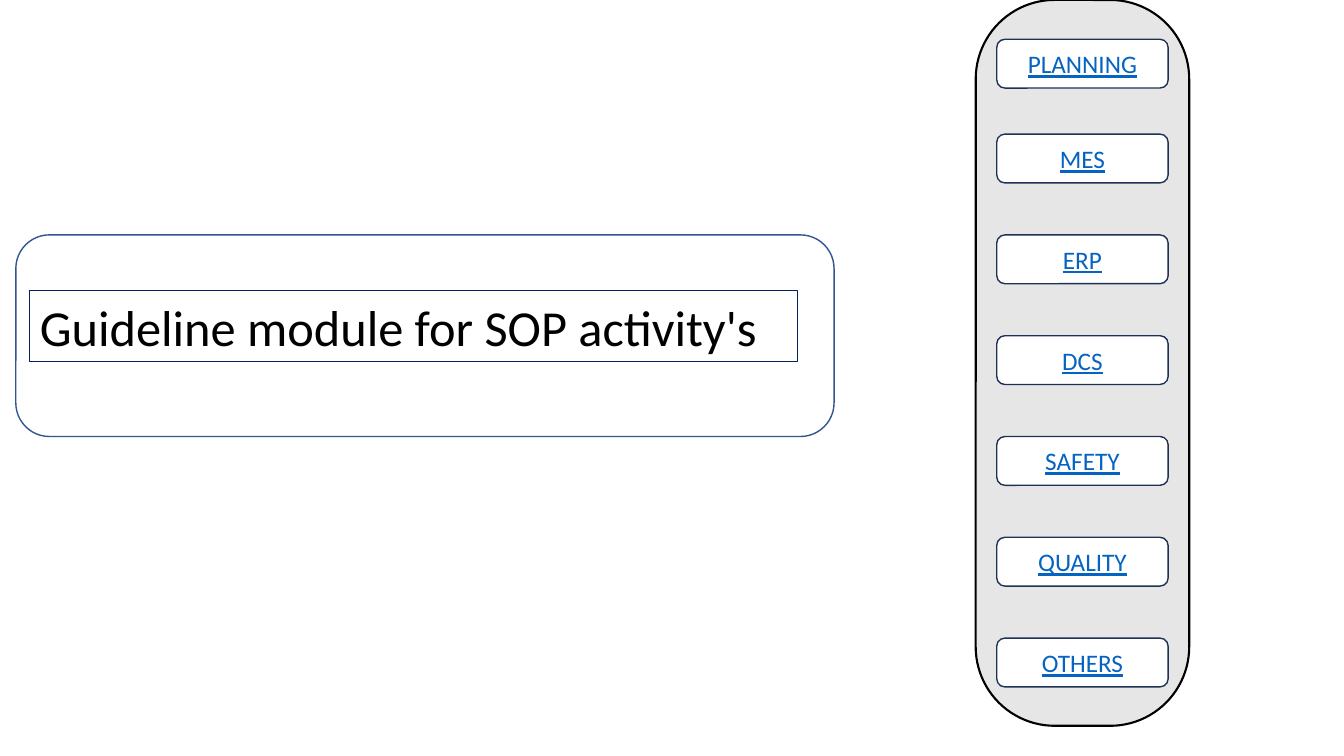
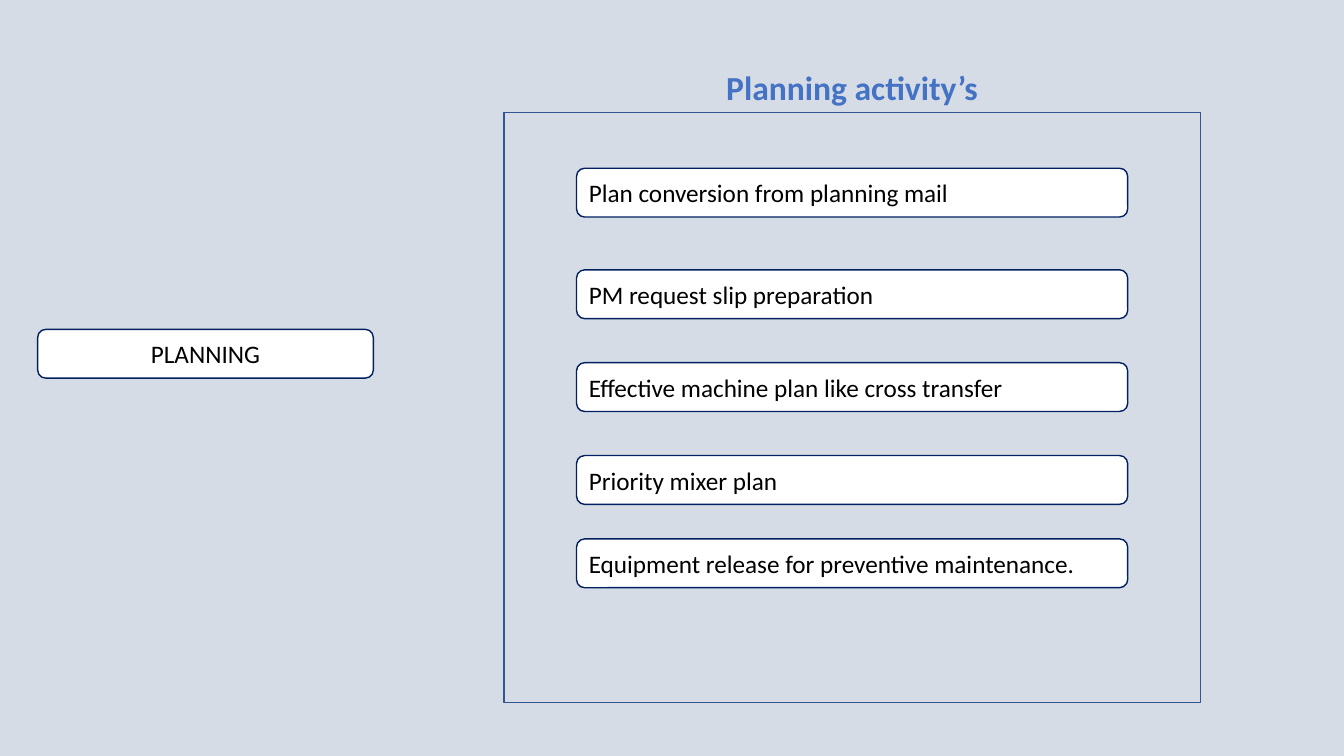
from dataclasses import dataclass

from pptx import Presentation
from pptx.dml.color import RGBColor
from pptx.enum.shapes import MSO_SHAPE
from pptx.enum.text import MSO_ANCHOR, MSO_AUTO_SIZE, PP_ALIGN
from pptx.util import Cm, Pt


@dataclass(frozen=True)
class Theme:
    font: str = "Calibri"
    black: str = "000000"
    white: str = "FFFFFF"
    grey: str = "E7E6E6"
    mist: str = "D6DCE5"
    navy: str = "002060"
    slate: str = "1E3256"
    blue: str = "325491"
    heading: str = "4472C4"
    link: str = "0563C1"
    cover_size: int = 36
    heading_size: int = 24
    body_size: int = 18
    thin: float = 0.75
    normal: float = 1
    thick: float = 1.5


@dataclass(frozen=True)
class Box:
    """A rectangle in centimetres."""
    left: float
    top: float
    width: float
    height: float

    def inner(self, left, top, width, height):
        return Box(self.left + left, self.top + top, width, height)

    def lengths(self):
        return Cm(self.left), Cm(self.top), Cm(self.width), Cm(self.height)


THEME = Theme()
BUTTON_HEIGHT = 1.23
AREAS = ["PLANNING", "MES", "ERP", "DCS", "SAFETY", "QUALITY", "OTHERS"]
PLANNING_ACTIVITIES = [
    ("Plan conversion from planning mail", 1.4),
    ("PM request slip preparation", 3.96),
    ("Effective machine plan like cross transfer", 6.3),
    ("Priority mixer plan", 8.64),
    ("Equipment release for preventive maintenance.", 10.74),
]


def rgb(color):
    return RGBColor.from_string(color)


def draw_outline(shape, color, width):
    shape.line.color.rgb = rgb(color)
    shape.line.width = Pt(width)


def write(shape, text, size, color, align):
    frame = shape.text_frame
    frame.text = text
    frame.auto_size = MSO_AUTO_SIZE.NONE
    frame.vertical_anchor = MSO_ANCHOR.MIDDLE
    para = frame.paragraphs[0]
    para.alignment = align
    para.font.name = THEME.font
    para.font.size = Pt(size)
    para.font.color.rgb = rgb(color)
    return para


def add_panel(page, box, kind, line, width=THEME.normal, fill=None):
    panel = page.shapes.add_shape(kind, *box.lengths())
    panel.shadow.inherit = False
    if fill:
        panel.fill.solid()
        panel.fill.fore_color.rgb = rgb(fill)
    else:
        panel.fill.background()
    draw_outline(panel, line, width)
    return panel


def add_button(page, box, text, line=THEME.navy, color=THEME.black,
               align=PP_ALIGN.CENTER):
    button = add_panel(page, box, MSO_SHAPE.ROUNDED_RECTANGLE, line,
                       fill=THEME.white)
    return write(button, text, THEME.body_size, color, align)


def place_title(page, box, text, size, color, align):
    title = page.shapes.title
    title.left, title.top, title.width, title.height = box.lengths()
    para = write(title, text, size, color, align)
    title.text_frame.word_wrap = False
    return title, para


def add_page(deck, background):
    page = deck.slides.add_slide(deck.slide_layouts[5])
    page.background.fill.solid()
    page.background.fill.fore_color.rgb = rgb(background)
    return page


def add_cover_title(page, box):
    add_panel(page, box, MSO_SHAPE.ROUNDED_RECTANGLE, THEME.blue)
    title, _ = place_title(page, box.inner(0.35, 1.4, 19.35, 1.8),
                           "Guideline module for SOP activity's",
                           THEME.cover_size, THEME.black, PP_ALIGN.LEFT)
    draw_outline(title, THEME.navy, THEME.thin)


def add_area_menu(page, box):
    panel = add_panel(page, box, MSO_SHAPE.ROUNDED_RECTANGLE, THEME.black,
                      THEME.thick, THEME.grey)
    panel.adjustments[0] = 0.37
    margin, pitch = 0.53, 2.54
    tops = [0.99] + [3.38 + pitch * row for row in range(len(AREAS) - 1)]
    for area, top in zip(AREAS, tops):
        spot = box.inner(margin, top, box.width - 2 * margin, BUTTON_HEIGHT)
        para = add_button(page, spot, area, THEME.slate, THEME.link)
        para.font.underline = True


def add_activity_panel(page, box, heading, activities):
    """Draw the framed list with its heading centred above the frame."""
    add_panel(page, box, MSO_SHAPE.RECTANGLE, THEME.blue)
    _, para = place_title(page, box.inner(0, -1.28, box.width, 1.28), heading,
                          THEME.heading_size, THEME.heading, PP_ALIGN.CENTER)
    para.font.bold = True
    margin = 1.83
    for activity, top in activities:
        spot = box.inner(margin, top, box.width - 2 * margin, BUTTON_HEIGHT)
        add_button(page, spot, activity, align=PP_ALIGN.LEFT)


def build_cover(deck):
    page = add_page(deck, THEME.white)
    add_cover_title(page, Box(0.4, 5.92, 20.62, 5.08))
    add_area_menu(page, Box(24.59, 0, 5.38, 18.29))


def build_planning(deck):
    page = add_page(deck, THEME.mist)
    add_button(page, Box(0.95, 8.3, 8.46, BUTTON_HEIGHT), AREAS[0])
    add_activity_panel(page, Box(12.7, 2.84, 17.55, 14.86),
                       "Planning activity’s", PLANNING_ACTIVITIES)


def main():
    deck = Presentation()
    deck.slide_width, deck.slide_height = Cm(33.87), Cm(19.05)
    build_cover(deck)
    build_planning(deck)
    deck.save("out.pptx")


if __name__ == "__main__":
    main()
